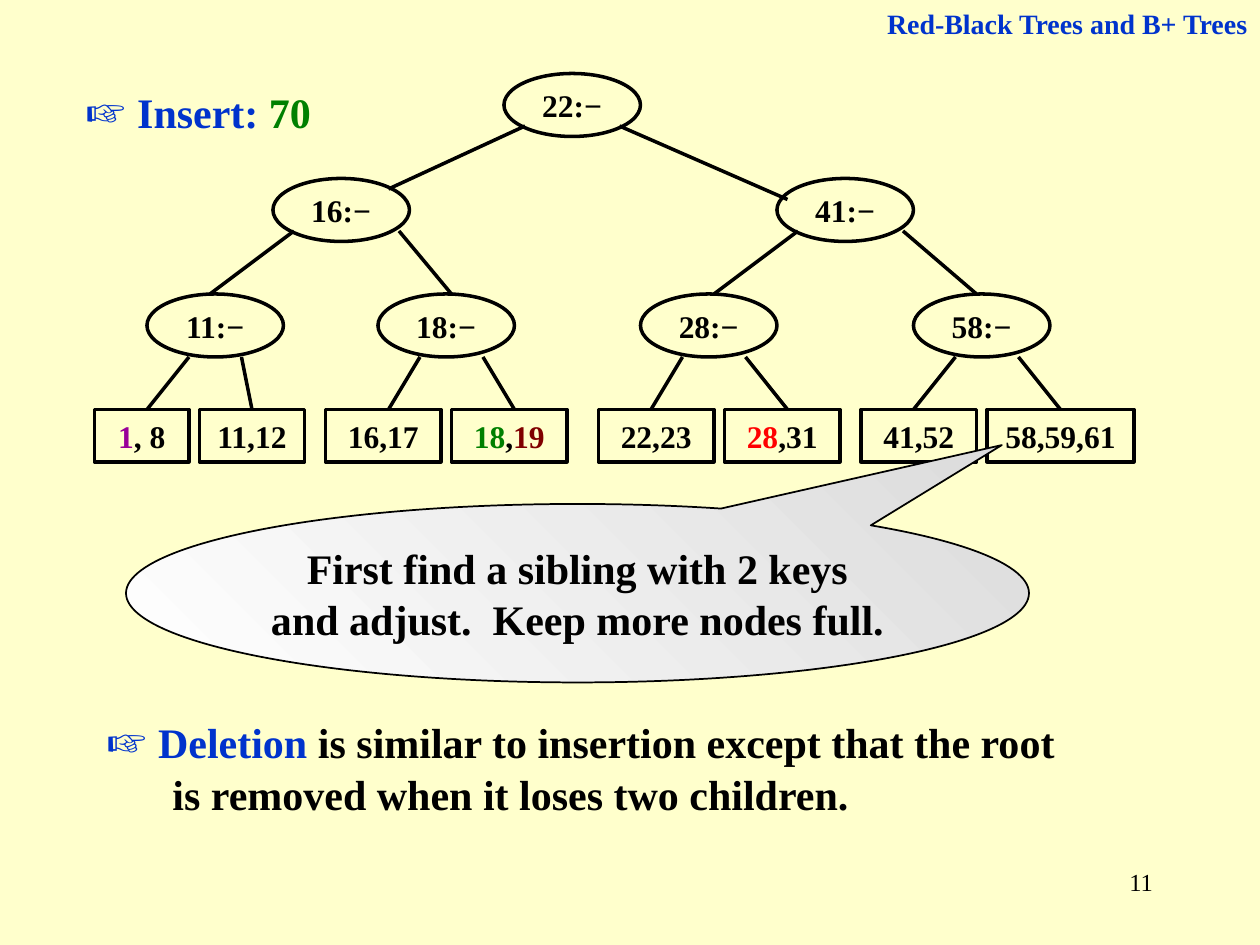
from dataclasses import dataclass

from lxml.etree import SubElement
from pptx import Presentation
from pptx.dml.color import RGBColor as RGB
from pptx.enum.shapes import MSO_CONNECTOR as Connector, MSO_SHAPE as Preset
from pptx.enum.text import MSO_ANCHOR as Anchor, MSO_AUTO_SIZE as AutoSize, PP_ALIGN as Align
from pptx.oxml.ns import qn
from pptx.util import Pt


@dataclass(frozen=True)
class Theme:
    font: str = "Times New Roman"
    paper: RGB = RGB(0xFF, 0xFF, 0xCC)
    ink: RGB = RGB(0, 0, 0)
    blue: RGB = RGB(0, 0x33, 0xCC)
    green: RGB = RGB(0, 0x80, 0)
    purple: RGB = RGB(0x99, 0, 0x99)
    maroon: RGB = RGB(0x80, 0, 0)
    red: RGB = RGB(0xFF, 0, 0)
    white: RGB = RGB(0xFF, 0xFF, 0xFF)
    grey: RGB = RGB(0xDD, 0xDD, 0xDD)
    pointer: int = 28
    body: int = 24
    node: int = 18
    header: int = 16
    number: int = 14


THEME = Theme()
LEVEL_TOPS = (42, 102, 168)
LEAF_TOP = 234
NODE_SIZE = (78, 36)
LEAF_HEIGHT = 30

NODES = (
    ((288, 22),),
    ((156, 16), (444, 41)),
    ((84, 11), (216, 18), (366, 28), (522, 58)),
)
LEAVES = (
    (54, 54, False, (("1", THEME.purple), (", 8", THEME.ink))),
    (114, 60, False, (("11,12", THEME.ink),)),
    (186, 66, True, (("16,17", THEME.ink),)),
    (258, 66, True, (("18", THEME.green), (",", THEME.ink), ("19", THEME.maroon))),
    (342, 66, False, (("22,23", THEME.ink),)),
    (414, 66, False, (("28", THEME.red), (",31", THEME.ink))),
    (492, 66, False, (("41,52", THEME.ink),)),
    (564, 84, False, (("58,59,61", THEME.ink),)),
)
ROOT_EDGES = ((300, 72, 222, 108), (354, 72, 450, 114))
INNER_EDGES = ((168, 120), (228, 258), (456, 408), (516, 558))
LEAF_EDGES = ((108, 84), (138, 144), (240, 222), (276, 294),
              (390, 372), (426, 450), (546, 522), (582, 606))


def apply(target, values):
    for name, value in values.items():
        setattr(target, name, value)


class SlideBuilder:
    """Draws styled elements on the current slide."""

    def __init__(self, presentation, theme):
        self.theme = theme
        self.slide = presentation.slides.add_slide(presentation.slide_layouts[5])
        fill = self.slide.background.fill
        fill.solid()
        fill.fore_color.rgb = theme.paper

    def fill_text(self, frame, runs, size, align=Align.LEFT, anchor=Anchor.TOP,
                  wrap=True, bold=True):
        apply(frame, {"word_wrap": wrap, "vertical_anchor": anchor,
                      "auto_size": AutoSize.NONE})
        paragraph = frame.paragraphs[0]
        paragraph.alignment = align
        for text, colour, *own_size in runs:
            run = paragraph.add_run()
            run.text = text
            apply(run.font, {"name": self.theme.font, "bold": bold,
                             "size": Pt(own_size[0] if own_size else size)})
            run.font.color.rgb = colour
        return paragraph

    def title(self, text, box):
        title = self.slide.shapes.title
        apply(title, dict(zip(("left", "top", "width", "height"), map(Pt, box))))
        self.fill_text(title.text_frame, ((text, self.theme.blue),),
                       self.theme.header, Align.RIGHT)

    def text(self, runs, box, size, hanging=0, **style):
        shape = self.slide.shapes.add_textbox(*map(Pt, box))
        paragraph = self.fill_text(shape.text_frame, runs, size, **style)
        if hanging:
            properties = paragraph._p.get_or_add_pPr()
            properties.set("marL", str(Pt(hanging)))
            properties.set("indent", str(-Pt(hanging)))

    def shape(self, preset, runs, box, size, line_width=2, wrap=False):
        shape = self.slide.shapes.add_shape(preset, *map(Pt, box))
        shape.shadow.inherit = False
        shape.fill.background()
        shape.line.width = Pt(line_width)
        shape.line.color.rgb = self.theme.ink
        self.fill_text(shape.text_frame, runs, size, Align.CENTER, Anchor.MIDDLE, wrap)
        return shape

    def node(self, key, left, top):
        self.shape(Preset.OVAL, ((f"{key}:−", self.theme.ink),),
                   (left, top, *NODE_SIZE), self.theme.node)

    def leaf(self, left, width, filled, runs):
        shape = self.shape(Preset.RECTANGLE, runs,
                           (left, LEAF_TOP, width, LEAF_HEIGHT), self.theme.node)
        if filled:
            shape.fill.solid()
            shape.fill.fore_color.rgb = self.theme.paper

    def edge(self, *ends):
        line = self.slide.shapes.add_connector(Connector.STRAIGHT, *map(Pt, ends))
        line.line.width = Pt(2)
        line.line.color.rgb = self.theme.ink
        SubElement(line._element.spPr, qn("a:effectLst"))

    def callout(self, text, box, tip):
        shape = self.shape(Preset.OVAL_CALLOUT, ((text, self.theme.ink),), box,
                           self.theme.body, line_width=1, wrap=True)
        for index, value in enumerate(tip):
            shape.adjustments[index] = value
        shape.fill.gradient()
        shape.fill.gradient_angle = 45
        for stop, colour in zip(shape.fill.gradient_stops,
                                (self.theme.white, self.theme.grey)):
            stop.color.rgb = colour


def main():
    presentation = Presentation()
    apply(presentation, {"slide_width": Pt(720), "slide_height": Pt(540)})
    builder = SlideBuilder(presentation, THEME)
    pointer = ("☞ ", THEME.blue, THEME.pointer)

    builder.title("Red-Black Trees and B+ Trees", (484.5, 0, 235.5, 26.5))
    for top, level in zip(LEVEL_TOPS, NODES):
        for left, key in level:
            builder.node(key, left, top)
    for leaf in LEAVES:
        builder.leaf(*leaf)
    for ends in ROOT_EDGES:
        builder.edge(*ends)
    for start, end in INNER_EDGES:
        builder.edge(start, 132, end, LEVEL_TOPS[2])
    for start, end in LEAF_EDGES:
        builder.edge(start, LEVEL_TOPS[2] + NODE_SIZE[1], end, LEAF_TOP)

    builder.text((pointer, ("Insert: ", THEME.blue), ("70", THEME.green)),
                 (42, 42, 174, 41), THEME.body)
    builder.callout("First find a sibling with 2 keys and adjust.  Keep more nodes full.",
                    (72, 288, 516, 102), (0.47, -0.83))
    builder.text((pointer, ("Deletion ", THEME.blue),
                  ("is similar to insertion except that the root is removed "
                   "when it loses two children.", THEME.ink)),
                 (54, 402, 570, 70), THEME.body, hanging=37.5)
    builder.text((("11", THEME.ink),), (516, 492, 150, 36), THEME.number,
                 align=Align.RIGHT, bold=False)
    presentation.save("out.pptx")


if __name__ == "__main__":
    main()
